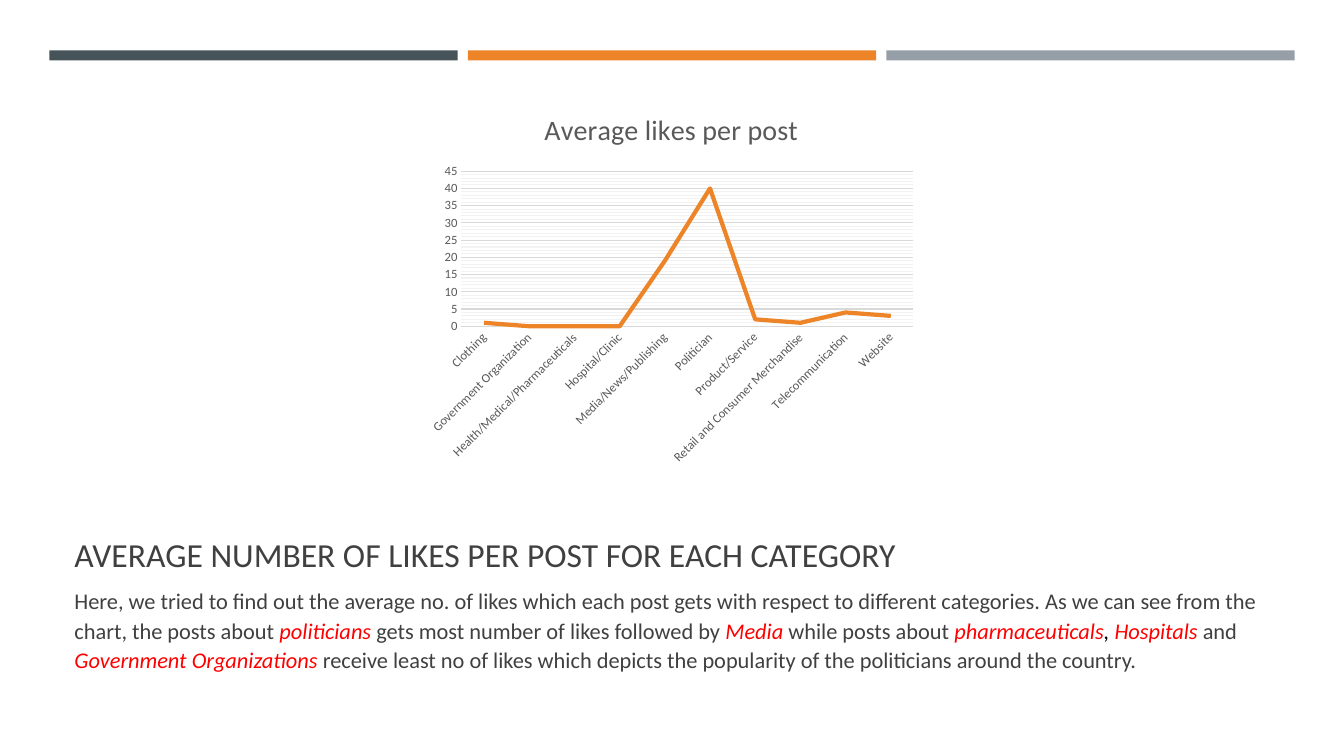
from pptx import Presentation
from pptx.chart.data import CategoryChartData
from pptx.dml.color import RGBColor as RGB
from pptx.enum.chart import XL_CHART_TYPE as Kind, XL_TICK_MARK as Tick
from pptx.enum.shapes import MSO_SHAPE as Shape
from pptx.enum.text import MSO_ANCHOR as Anchor
from pptx.oxml import parse_xml
from pptx.oxml.ns import nsdecls, qn
from pptx.util import Inches, Pt

FONT = "Calibri"
HUES = {
    "slate": "465359", "orange": "ED8428", "steel": "969FA7",
    "text": "404040", "red": "FF0000", "black": "000000",
    "label": "595959", "grid": "D9D9D9", "faint": "F2F2F2",
}


def style(font, size, hue, slant=False):
    font.name = FONT
    font.size = Pt(size)
    font.bold = False
    font.italic = slant
    font.color.rgb = RGB.from_string(HUES[hue])


def add_box(top, height, anchor):
    box = slide.shapes.add_textbox(Inches(0.64), Inches(top), Inches(12.06), Inches(height))
    frame = box.text_frame
    frame.word_wrap = True
    frame.vertical_anchor = anchor
    return frame.paragraphs[0]


deck = Presentation()
deck.slide_width = Inches(13.33)
deck.slide_height = Inches(7.5)
slide = deck.slides.add_slide(deck.slide_layouts[6])

for i, hue in enumerate(["slate", "orange", "steel"]):
    bar = slide.shapes.add_shape(
        Shape.RECTANGLE, Inches(0.49 + 4.15 * i), Inches(0.5), Inches(4.05), Inches(0.1))
    bar.shadow.inherit = False
    bar.fill.solid()
    bar.fill.fore_color.rgb = RGB.from_string(HUES[hue])
    bar.line.fill.background()

head = add_box(5.13, 0.62, Anchor.BOTTOM)
head.line_spacing = 0.9
run = head.add_run()
run.text = "AVERAGE NUMBER OF LIKES PER POST FOR EACH CATEGORY"
style(run.font, 24, "text")

body = add_box(5.75, 1.09, Anchor.TOP)
body.line_spacing = 1.1
body.space_before = Pt(3.2)
body.space_after = Pt(6)
parts = [
    ("Here, we tried to find out the average no. of likes which each post gets with respect to "
     "different categories. As we can see from the chart, the posts about ", "text", False),
    ("politicians ", "red", True),
    ("gets most number of likes followed by ", "text", False),
    ("Media", "red", True),
    (" while posts about ", "text", False),
    ("pharmaceuticals", "red", True),
    (", ", "black", True),
    ("Hospitals", "red", True),
    (" and ", "text", False),
    ("Government Organizations", "red", True),
    (" receive least no of likes which depicts the popularity of the politicians "
     "around the country.", "text", False),
]
for text, hue, slant in parts:
    run = body.add_run()
    run.text = text
    style(run.font, 16, hue, slant)

likes = {
    "Clothing": 1,
    "Government Organization": 0,
    "Health/Medical/Pharmaceuticals": 0,
    "Hospital/Clinic": 0,
    "Media/News/Publishing": 19,
    "Politician": 40,
    "Product/Service": 2,
    "Retail and Consumer Merchandise": 1,
    "Telecommunication": 4,
    "Website": 3,
}
data = CategoryChartData(number_format="0")
data.categories = list(likes)
data.add_series("Average likes per post", list(likes.values()))
chart = slide.shapes.add_chart(
    Kind.LINE, Inches(4.16), Inches(0.91), Inches(5), Inches(3.78), data).chart
style(chart.font, 10, "black")
chart.has_legend = False
chart.has_title = True
run = chart.chart_title.text_frame.paragraphs[0].add_run()
run.text = "Average likes per post"
style(run.font, 20, "label")

plot = chart.plots[0]
plot.vary_by_categories = False
line = plot.series[0]
line.smooth = False
line.format.line.width = Pt(3)
line.format.line.color.rgb = RGB.from_string(HUES["orange"])

cats, vals = chart.category_axis, chart.value_axis
for axis in (cats, vals):
    axis.major_tick_mark = Tick.NONE
    axis.minor_tick_mark = Tick.NONE
    style(axis.tick_labels.font, 9, "label")
vals.minimum_scale = 0
vals.maximum_scale = 45
vals.major_unit = 5
vals.minor_unit = 1
vals.has_major_gridlines = True
vals.has_minor_gridlines = True
vals.tick_labels.number_format = "0"
vals.tick_labels.number_format_is_linked = False
vals.format.line.fill.background()
for rule in (cats, vals.major_gridlines):
    rule.format.line.width = Pt(0.75)
    rule.format.line.color.rgb = RGB.from_string(HUES["grid"])

minor = chart.element.find(".//" + qn("c:minorGridlines"))
minor.append(parse_xml(
    f'<c:spPr {nsdecls("c", "a")}><a:ln w="{Pt(0.75)}"><a:solidFill>'
    f'<a:srgbClr val="{HUES["faint"]}"/></a:solidFill></a:ln></c:spPr>'))

deck.save("out.pptx")
